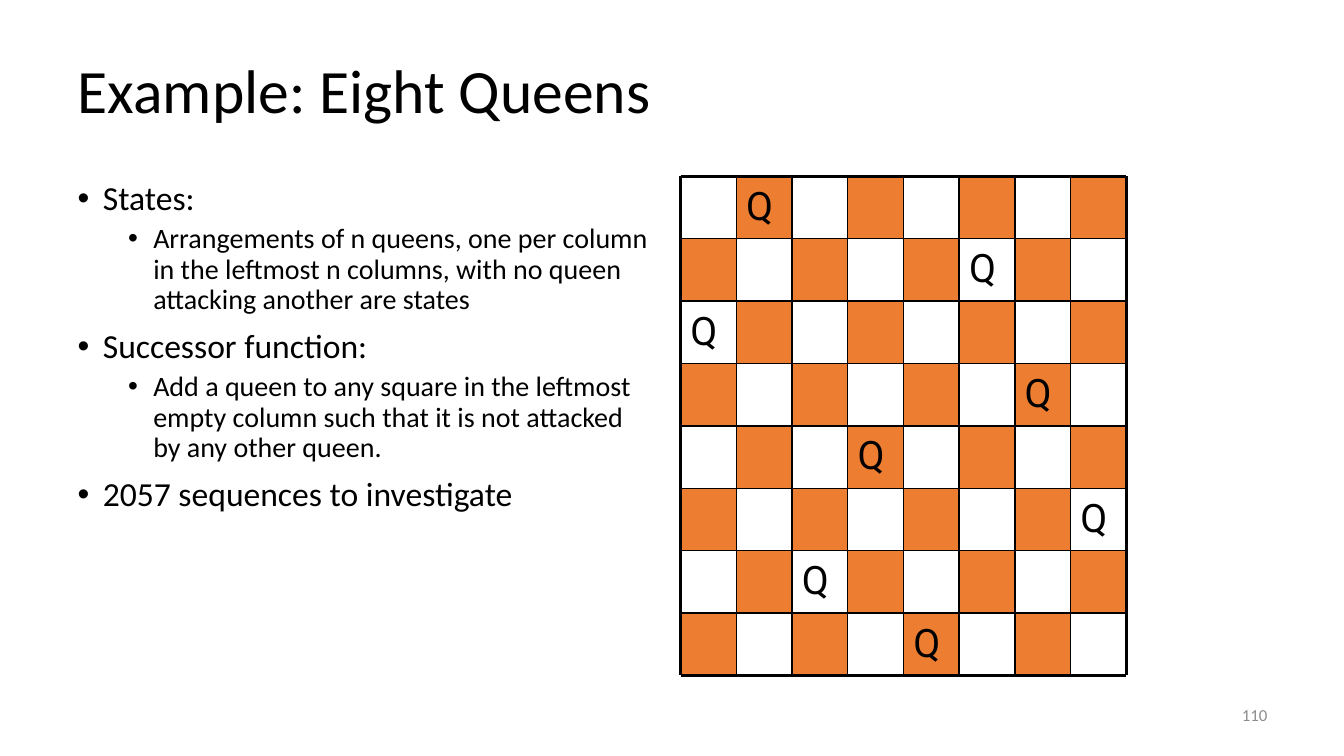
"""Build the Eight Queens slide with its bulleted list and chessboard."""
from dataclasses import dataclass

from lxml import etree
from pptx import Presentation
from pptx import util as u
from pptx.dml.color import RGBColor
from pptx.enum import shapes, text
from pptx.oxml import ns
from pptx.slide import Slide
from pptx.text.text import TextFrame, _Paragraph


@dataclass(frozen=True)
class Theme:
    """Colours, fonts and type sizes."""
    ink: RGBColor = RGBColor(0x00, 0x00, 0x00)
    grey: RGBColor = RGBColor(0x8C, 0x8C, 0x8C)
    orange: RGBColor = RGBColor(0xED, 0x7D, 0x31)
    font: str = "Calibri"
    queen_font: str = "Roboto"
    title_size: int = 44
    list_sizes: tuple[int, int] = (24, 20)
    queen_size: int = 28
    number_size: int = 12
    frame_width: float = 2.25
    grid_width: float = 1


@dataclass(frozen=True)
class ListItem:
    """A bulleted line and its level."""
    words: str
    level: int = 0


@dataclass(frozen=True)
class Board:
    """Chessboard geometry in inches, with the queen's row for each column."""
    left: float = 6.75
    top: float = 1.75
    width: float = 4.42
    height: float = 4.95
    queen_rows: tuple[int, ...] = (2, 0, 6, 4, 7, 1, 3, 5)

    @property
    def count(self) -> int:
        """Return the number of squares along a side."""
        return len(self.queen_rows)

    def x(self, column: int) -> float:
        """Return the left edge of a column."""
        return self.left + column * self.width / self.count

    def y(self, row: int) -> float:
        """Return the top edge of a row."""
        return self.top + row * self.height / self.count


THEME = Theme()
ITEMS = (
    ListItem("States:"),
    ListItem("Arrangements of n queens, one per column in the leftmost n columns, "
             "with no queen attacking another are states", 1),
    ListItem("Successor function:"),
    ListItem("Add a queen to any square in the leftmost empty column such that "
             "it is not attacked by any other queen.", 1),
    ListItem("2057 sequences to investigate"),
)


def place(box, left: float, top: float, width: float, height: float) -> TextFrame:
    """Move a box and return its text frame."""
    box.left, box.top = u.Inches(left), u.Inches(top)
    box.width, box.height = u.Inches(width), u.Inches(height)
    frame = box.text_frame
    frame.word_wrap = True
    frame.auto_size = text.MSO_AUTO_SIZE.NONE
    return frame


def style(para: _Paragraph, size: int, color: RGBColor = THEME.ink,
          name: str = THEME.font) -> None:
    """Set the font of a paragraph."""
    para.font.size, para.font.name = u.Pt(size), name
    para.font.color.rgb = color


def add_title(slide: Slide, words: str) -> None:
    """Fill the title placeholder."""
    frame = place(slide.shapes.title, 0.67, 0.3, 12, 1.25)
    frame.vertical_anchor = text.MSO_ANCHOR.MIDDLE
    para = frame.paragraphs[0]
    para.text, para.alignment, para.line_spacing = words, text.PP_ALIGN.LEFT, 0.9
    style(para, THEME.title_size)


def add_list(slide: Slide, items: tuple[ListItem, ...]) -> None:
    """Fill the body placeholder with bulleted lines."""
    frame = place(slide.placeholders[1], 0.67, 1.75, 5.89, 4.95)
    for index, item in enumerate(items):
        para = frame.add_paragraph() if index else frame.paragraphs[0]
        para.text, para.level = item.words, item.level
        properties = para._p.get_or_add_pPr()
        properties.set("marL", str(u.Inches(0.25 + 0.5 * item.level)))
        properties.set("indent", str(u.Inches(-0.25)))
        etree.SubElement(properties, ns.qn("a:buFont"), typeface="Arial")
        etree.SubElement(properties, ns.qn("a:buChar"), char="•")
        para.line_spacing = 0.9
        para.space_before = u.Pt((10, 5)[item.level] if index else 0)
        style(para, THEME.list_sizes[item.level])


def add_square(slide: Slide, board: Board, row: int, column: int) -> None:
    """Draw a dark square or a queen, where there is one."""
    dark = (row + column) % 2 == 1
    queen = board.queen_rows[column] == row
    if not (dark or queen):
        return
    area = (board.x(column), board.y(row),
            board.width / board.count, board.height / board.count)
    bounds = [u.Inches(length) for length in area]
    if dark:
        square = slide.shapes.add_shape(shapes.MSO_SHAPE.RECTANGLE, *bounds)
        square.shadow.inherit = False
        square.fill.solid()
        square.fill.fore_color.rgb = THEME.orange
        square.line.fill.background()
    else:
        square = slide.shapes.add_textbox(*bounds)
    if queen:
        frame = place(square, *area)
        frame.vertical_anchor = text.MSO_ANCHOR.TOP
        para = frame.paragraphs[0]
        para.text, para.alignment = "Q", text.PP_ALIGN.LEFT
        style(para, THEME.queen_size, name=THEME.queen_font)


def add_line(slide: Slide, x1: float, y1: float, x2: float, y2: float,
             width: float) -> None:
    """Draw a straight board line."""
    line = slide.shapes.add_connector(
        shapes.MSO_CONNECTOR.STRAIGHT,
        u.Inches(x1), u.Inches(y1), u.Inches(x2), u.Inches(y2))
    line.line.color.rgb, line.line.width = THEME.ink, u.Pt(width)
    etree.SubElement(line._element.spPr, ns.qn("a:effectLst"))


def add_board(slide: Slide, board: Board) -> None:
    """Draw the squares, queens and lines of the board."""
    for row in range(board.count):
        for column in range(board.count):
            add_square(slide, board, row, column)
    right, bottom = board.x(board.count), board.y(board.count)
    for step in range(board.count + 1):
        width = THEME.frame_width if step in (0, board.count) else THEME.grid_width
        add_line(slide, board.left, board.y(step), right, board.y(step), width)
        add_line(slide, board.x(step), board.top, board.x(step), bottom, width)


def add_page_number(slide: Slide, number: str) -> None:
    """Write the page number at the lower right."""
    box = slide.shapes.add_textbox(0, 0, 0, 0)
    frame = place(box, 9.56, 6.83, 3.11, 0.52)
    frame.vertical_anchor = text.MSO_ANCHOR.MIDDLE
    para = frame.paragraphs[0]
    para.text, para.alignment = number, text.PP_ALIGN.RIGHT
    style(para, THEME.number_size, THEME.grey)


def main() -> None:
    """Build and save the deck."""
    deck = Presentation()
    deck.slide_width, deck.slide_height = u.Inches(13.33), u.Inches(7.5)
    page = deck.slides.add_slide(deck.slide_layouts[1])
    add_page_number(page, "110")
    add_title(page, "Example: Eight Queens")
    add_list(page, ITEMS)
    add_board(page, Board())
    deck.save("out.pptx")


if __name__ == "__main__":
    main()
